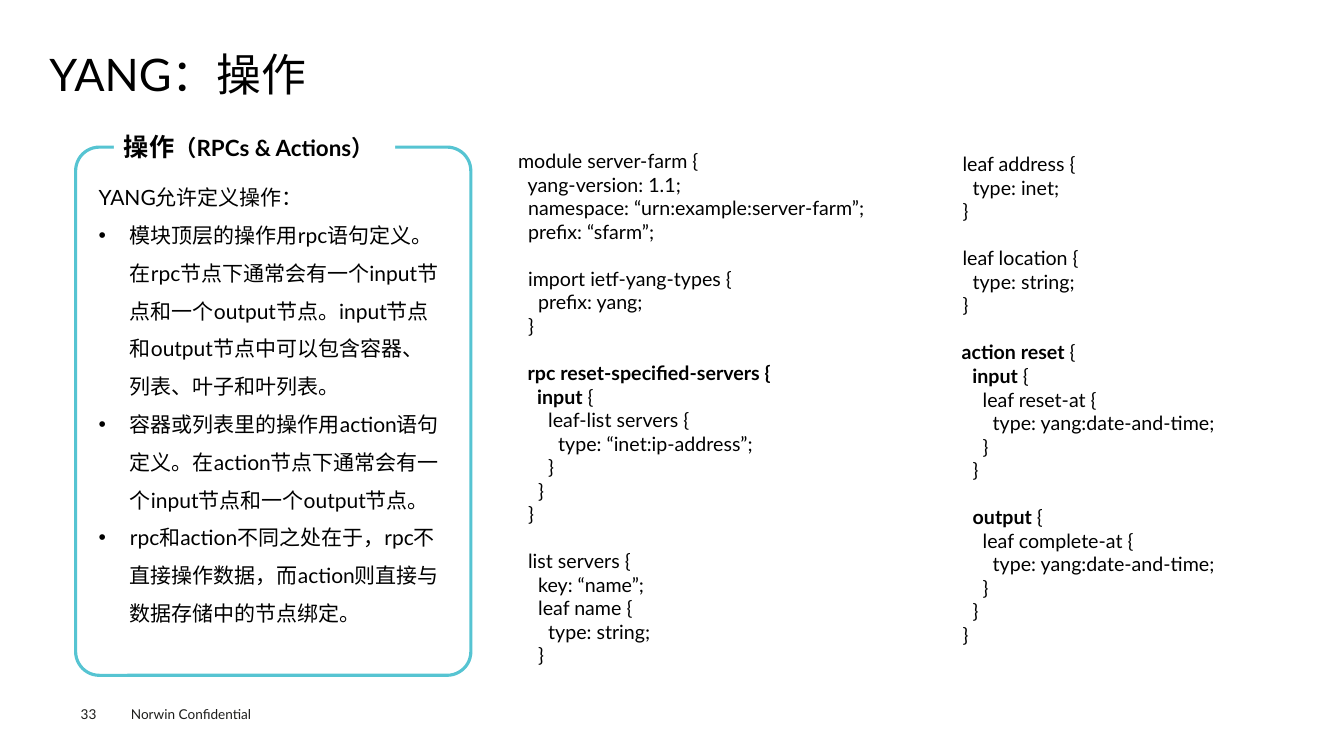
from pptx import Presentation
from pptx.dml.color import RGBColor
from pptx.enum.shapes import MSO_SHAPE as Shape
from pptx.enum.text import MSO_ANCHOR as Anchor
from pptx.oxml.ns import qn
from pptx.util import Inches, Pt
from lxml import etree

# Content
FONT = "Lato"
BLACK, GREY, WHITE, CYAN = "000000", "1D1D1B", "FFFFFF", "56C4D2"
TITLE = "YANG：操作"
HEADING = [("操作", 18), ("（RPCs & Actions）", 16)]
INTRO = "YANG允许定义操作："
POINTS = [
    "模块顶层的操作用rpc语句定义。在rpc节点下通常会有一个input节点和一个output节点。"
    "input节点和output节点中可以包含容器、列表、叶子和叶列表。",
    "容器或列表里的操作用action语句定义。在action节点下通常会有一个input节点和一个output节点。",
    "rpc和action不同之处在于，rpc不直接操作数据，而action则直接与数据存储中的节点绑定。",
]
FOOTERS = [("33", (0.8, 7, 0.55, 0.16), 0), ("Norwin Confidential", (1.2, 6.95, 1.6, 0.27), None)]

# Code listings: ** switches bold on and off
MODULE_CODE = """module server-farm {
  yang-version: 1.1;
  namespace: “urn:example:server-farm”;
  prefix: “sfarm”;

  import ietf-yang-types {
    prefix: yang;
  }

**  rpc reset-specified-servers {**
**    input **{
      leaf-list servers {
        type: “inet:ip-address”;
      }
    }
  }

  list servers {
    key: “name”;
    leaf name {
      type: string;
    }"""
ACTION_CODE = """    leaf address {
      type: inet;
    }

    leaf location {
      type: string;
    }

**    action reset **{
     ** input **{
        leaf reset-at {
          type: yang:date-and-time;
        }
      }

      **output** {
        leaf complete-at {
          type: yang:date-and-time;
        }
      }
    }"""
LISTINGS = [(MODULE_CODE, (5.04, 1.43, 4.37, 5.28)), (ACTION_CODE, (9.25, 1.46, 3.6, 5.05))]
CODE_SIZE = 14
CODE_LINE = CODE_SIZE * 1.2


def color(hex_value):
    return RGBColor.from_string(hex_value)


def set_font(font, size, hex_value=BLACK):
    font.name, font.size = FONT, Pt(size)
    font.color.rgb = color(hex_value)


def add_text_frame(box, inset=None):
    frame = slide.shapes.add_textbox(*map(Inches, box)).text_frame
    frame.word_wrap = True
    if inset is not None:
        frame.margin_left = frame.margin_right = frame.margin_top = frame.margin_bottom = Inches(inset)
    return frame


def add_lines(frame, lines):
    for index, line in enumerate(lines):
        paragraph = frame.add_paragraph() if index else frame.paragraphs[0]
        yield paragraph, line


def set_bullet(paragraph, indent):
    properties = paragraph._p.get_or_add_pPr()
    properties.set("marL", str(Inches(indent)))
    properties.set("indent", str(-Inches(indent)))
    etree.SubElement(properties, qn("a:buFont")).set("typeface", "Arial")
    etree.SubElement(properties, qn("a:buChar")).set("char", "•")


def add_listing(code, box):
    # A blank code line becomes one line of space before the next line
    lines = code.split("\n")
    rows = [(line, i > 0 and not lines[i - 1]) for i, line in enumerate(lines) if line]
    for paragraph, (line, after_gap) in add_lines(add_text_frame(box), rows):
        if after_gap:
            paragraph.space_before = Pt(CODE_LINE)
        set_font(paragraph.font, CODE_SIZE)
        for part, piece in enumerate(line.split("**")):
            if piece:
                run = paragraph.add_run()
                run.text = piece
                if part % 2:
                    run.font.bold = True


prs = Presentation()
prs.slide_width, prs.slide_height = Inches(13.33), Inches(7.5)
slide = prs.slides.add_slide(prs.slide_layouts[6])

# Footer
for text, box, inset in FOOTERS:
    footer = add_text_frame(box, inset).paragraphs[0]
    footer.text = text
    set_font(footer.font, 9.7, GREY)

# Title
title_frame = add_text_frame((0.49, 0.49, 12.35, 0.54), 0)
title_frame.vertical_anchor = Anchor.MIDDLE
title = title_frame.paragraphs[0]
title.text = TITLE
title.line_spacing = 0.9
set_font(title.font, 32)

# Panel with a heading that breaks its top edge
panel = slide.shapes.add_shape(Shape.ROUNDED_RECTANGLE, *map(Inches, (0.75, 1.46, 3.92, 5.24)))
panel.adjustments[0] = 0.06
panel.shadow.inherit = False
panel.fill.background()
panel.line.color.rgb = color(CYAN)
panel.line.width = Pt(2.25)

heading_box = slide.shapes.add_textbox(*map(Inches, (1.13, 1.25, 2.79, 0.4)))
heading_box.fill.solid()
heading_box.fill.fore_color.rgb = color(WHITE)
heading_box.text_frame.word_wrap = False
heading = heading_box.text_frame.paragraphs[0]
for text, size in HEADING:
    run = heading.add_run()
    run.text = text
    set_font(run.font, size)
    run.font.bold = True

# Explanation
explanation = add_text_frame((0.88, 1.66, 3.58, 4.98))
for paragraph, text in add_lines(explanation, [INTRO] + POINTS):
    paragraph.text = text
    paragraph.line_spacing = 1.5
    if text != INTRO:
        set_bullet(paragraph, 0.31)
    set_font(paragraph.font, 15)

# Code
for code, box in LISTINGS:
    add_listing(code, box)

prs.save("out.pptx")
